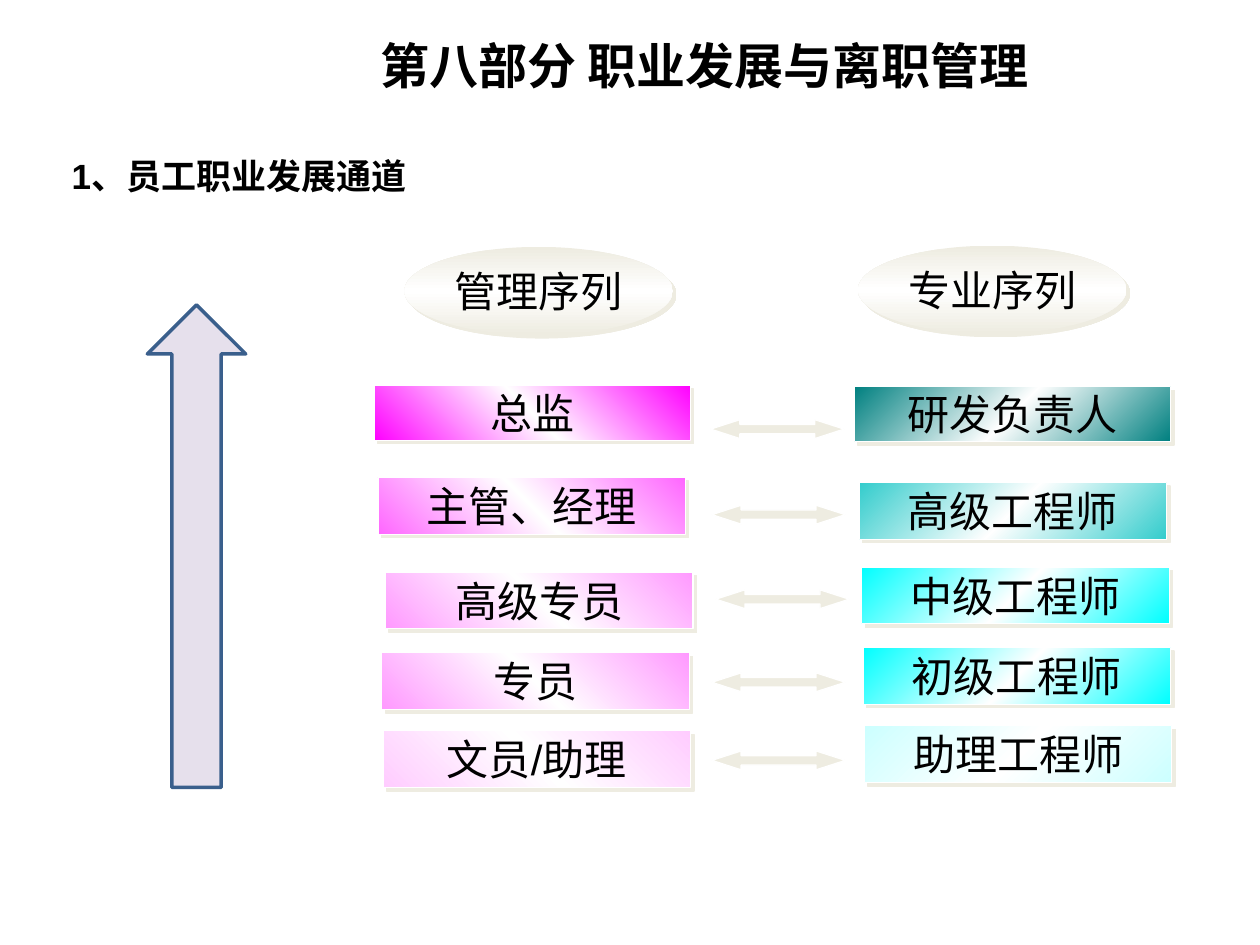
from copy import deepcopy

from lxml.etree import SubElement
from pptx import Presentation
from pptx.dml.color import RGBColor
from pptx.enum.shapes import MSO_SHAPE as Shape
from pptx.enum.text import MSO_ANCHOR as Anchor, PP_ALIGN as Align
from pptx.oxml.ns import qn
from pptx.util import Pt

BLACK = RGBColor(0x00, 0x00, 0x00)
WHITE = RGBColor(0xFF, 0xFF, 0xFF)
CREAM = RGBColor(0xEE, 0xEC, 0xE1)
LILAC = RGBColor(0xE6, 0xE0, 0xEC)
NAVY = RGBColor(0x3A, 0x5F, 0x8C)
MAGENTA = RGBColor(0xFF, 0x00, 0xFF)
PINK = RGBColor(0xFF, 0x66, 0xFF)
LIGHT_PINK = RGBColor(0xFF, 0x99, 0xFF)
PALE_PINK = RGBColor(0xFF, 0xCC, 0xFF)
TEAL = RGBColor(0x00, 0x80, 0x80)
TURQUOISE = RGBColor(0x33, 0xCC, 0xCC)
CYAN = RGBColor(0x00, 0xFF, 0xFF)
PALE_CYAN = RGBColor(0xCC, 0xFF, 0xFF)


def write(box, text, size=24, font="Arial", bold=False, align=Align.CENTER,
          anchor=Anchor.MIDDLE, wrap=False):
    frame = box.text_frame
    frame.word_wrap = wrap
    frame.vertical_anchor = anchor
    para = frame.paragraphs[0]
    para.alignment = align
    span = para.add_run()
    span.text = text
    span.font.size = Pt(size)
    span.font.name = font
    span.font.bold = bold
    span.font.color.rgb = BLACK


def add_glossy(kind, left, top, width, height, color, angle):
    shape = page.shapes.add_shape(kind, Pt(left), Pt(top), Pt(width), Pt(height))
    shape.fill.gradient()
    shape.fill.gradient_angle = angle
    properties = shape._element.spPr
    stop_list = properties.find(qn("a:gradFill")).find(qn("a:gsLst"))
    stop_list.insert(1, deepcopy(stop_list[0]))
    stops = shape.fill.gradient_stops
    for stop, place, tint in zip(stops, (0, 0.5, 1), (color, WHITE, color)):
        stop.position = place
        stop.color.rgb = tint
    shape.shadow.inherit = False
    effects = properties.find(qn("a:effectLst"))
    shadow = SubElement(effects, qn("a:outerShdw"), dist=str(Pt(2.8)),
                        dir="2700000", algn="ctr", rotWithShape="0")
    SubElement(shadow, qn("a:srgbClr"), val=str(CREAM))
    return shape


deck = Presentation()
deck.slide_width, deck.slide_height = Pt(720), Pt(540)
page = deck.slides.add_slide(deck.slide_layouts[6])

title = page.shapes.add_textbox(Pt(185.8), Pt(16.6), Pt(433.4), Pt(41))
write(title, "第八部分 职业发展与离职管理", size=28, font="Calibri", bold=True,
      anchor=Anchor.TOP, wrap=True)
heading = page.shapes.add_textbox(Pt(33.8), Pt(85), Pt(483.8), Pt(31.7))
write(heading, "1、员工职业发展通道", size=20, bold=True, align=Align.LEFT,
      anchor=Anchor.TOP, wrap=True)

management_levels = [
    ("总监", 213.8, 220.3, MAGENTA),
    ("主管、经理", 216, 272.9, PINK),
    ("高级专员", 220.3, 326.9, LIGHT_PINK),
    ("专员", 218.2, 373, LIGHT_PINK),
    ("文员/助理", 218.9, 417.6, PALE_PINK),
]
professional_levels = [
    ("研发负责人", 488.2, 221, TEAL),
    ("高级工程师", 491, 275.8, TURQUOISE),
    ("中级工程师", 492.5, 324, CYAN),
    ("初级工程师", 493.2, 370.1, CYAN),
    ("助理工程师", 493.9, 414.7, PALE_CYAN),
]
for levels, angle in ((professional_levels, 315), (management_levels, 45)):
    for index, (label, left, top, color) in enumerate(levels):
        width, height = (175.7, 32.4) if index else (180.7, 31.3)
        level = add_glossy(Shape.RECTANGLE, left, top, width, height, color, angle)
        level.line.color.rgb = WHITE
        level.line.width = Pt(0.75)
        write(level, label)

for label, left, top in (("专业序列", 490.3, 140.4), ("管理序列", 231.1, 141.1)):
    track = add_glossy(Shape.OVAL, left, top, 153.4, 50.4, CREAM, 270)
    track.line.fill.background()
    write(track, label)

link_places = [(406.1, 239.8), (406.8, 288.7), (409, 337), (406.8, 384.5), (406.8, 429.1)]
arrows = [(Shape.LEFT_RIGHT_ARROW, left, top, 76.3, 10.8, 1.55, CREAM, WHITE, 0.75)
          for left, top in link_places]
arrows.append((Shape.UP_ARROW, 84.2, 174.2, 56.2, 275.8, 0.5, LILAC, NAVY, 2))
for kind, left, top, width, height, head, color, edge, weight in arrows:
    arrow = page.shapes.add_shape(kind, Pt(left), Pt(top), Pt(width), Pt(height))
    arrow.adjustments[0] = 0.5
    arrow.adjustments[1] = head
    arrow.shadow.inherit = False
    arrow.fill.solid()
    arrow.fill.fore_color.rgb = color
    arrow.line.color.rgb = edge
    arrow.line.width = Pt(weight)

deck.save("out.pptx")
